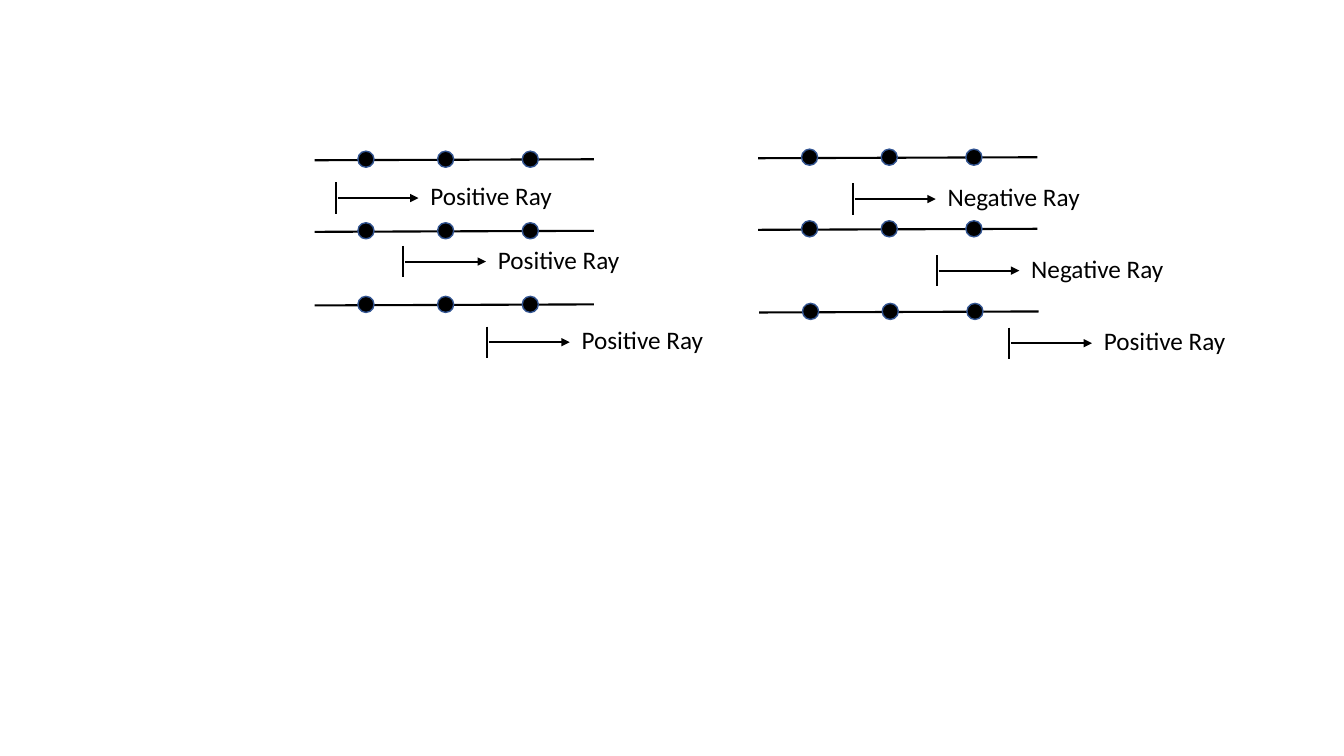
from dataclasses import dataclass

from lxml import etree
from pptx import Presentation
from pptx.dml.color import RGBColor
from pptx.enum.shapes import MSO_CONNECTOR, MSO_SHAPE
from pptx.enum.text import MSO_AUTO_SIZE
from pptx.oxml.ns import qn
from pptx.shapes.connector import Connector
from pptx.shapes.shapetree import GroupShapes
from pptx.util import Inches, Pt

STRAIGHT = MSO_CONNECTOR.STRAIGHT
OVAL = MSO_SHAPE.OVAL
FIT_SHAPE = MSO_AUTO_SIZE.SHAPE_TO_FIT_TEXT
BLANK_LAYOUT = 6


@dataclass(frozen=True)
class Theme:
    ink: RGBColor = RGBColor(0x00, 0x00, 0x00)
    dot_edge: RGBColor = RGBColor(0x32, 0x54, 0x91)
    font: str = "Calibri"
    label_size: Pt = Pt(18)
    line_width: Pt = Pt(1.5)
    dot_edge_width: Pt = Pt(1)


@dataclass(frozen=True)
class NumberLine:
    """A line with three points; x, y is its left end."""
    x: float
    y: float


@dataclass(frozen=True)
class Ray:
    """A labelled ray; x, y is the top of its starting tick."""
    x: float
    y: float
    label: str
    label_width: float


THEME = Theme()

# Number line geometry
LINE_LENGTH, LINE_RISE = 2.77, 0.01
DOT_SIZE, DOT_OFFSETS = 0.16, (0.43, 1.22, 2.06)
DOT_RISE = 0.09

# Ray geometry, measured from the top of the tick
TICK_HEIGHT = 0.31
ARROW_START, ARROW_END = 0.02, 0.82
LABEL_DX, LABEL_DY, LABEL_HEIGHT = 0.84, -0.07, 0.4

POSITIVE = ("Positive Ray", 1.84)
NEGATIVE = ("Negative Ray", 2.0)

NUMBER_LINES = [
    NumberLine(3.12, 1.59), NumberLine(3.12, 2.3), NumberLine(3.12, 3.03),
    NumberLine(7.52, 1.57), NumberLine(7.52, 2.28), NumberLine(7.53, 3.1),
]
RAYS = [
    Ray(3.33, 1.81, *POSITIVE), Ray(4.0, 2.44, *POSITIVE),
    Ray(4.83, 3.24, *POSITIVE),
    Ray(8.46, 1.82, *NEGATIVE), Ray(9.29, 2.53, *NEGATIVE),
    Ray(10.01, 3.25, *POSITIVE),
]


def add_line(shapes: GroupShapes, x1: float, y1: float,
             x2: float, y2: float) -> Connector:
    line = shapes.add_connector(STRAIGHT, Inches(x1), Inches(y1),
                                Inches(x2), Inches(y2))
    line.line.color.rgb = THEME.ink
    line.line.width = THEME.line_width
    etree.SubElement(line._element.spPr, qn("a:effectLst"))
    return line


def add_arrow(shapes: GroupShapes, x1: float, x2: float, y: float) -> None:
    arrow = add_line(shapes, x1, y, x2, y)
    etree.SubElement(arrow.line._get_or_add_ln(), qn("a:tailEnd"),
                     type="triangle")


def add_dot(shapes: GroupShapes, x: float, y: float) -> None:
    dot = shapes.add_shape(OVAL, Inches(x), Inches(y),
                           Inches(DOT_SIZE), Inches(DOT_SIZE))
    dot.shadow.inherit = False
    dot.fill.solid()
    dot.fill.fore_color.rgb = THEME.ink
    dot.line.color.rgb = THEME.dot_edge
    dot.line.width = THEME.dot_edge_width


def add_label(shapes: GroupShapes, ray: Ray) -> None:
    box = shapes.add_textbox(Inches(ray.x + LABEL_DX), Inches(ray.y + LABEL_DY),
                             Inches(ray.label_width), Inches(LABEL_HEIGHT))
    tf = box.text_frame
    tf.word_wrap = True
    tf.auto_size = FIT_SHAPE
    r = tf.paragraphs[0].add_run()
    r.text = ray.label
    r.font.name = THEME.font
    r.font.size = THEME.label_size
    r.font.color.rgb = THEME.ink


def draw_number_line(shapes: GroupShapes, item: NumberLine) -> None:
    add_line(shapes, item.x, item.y, item.x + LINE_LENGTH, item.y - LINE_RISE)
    for dx in DOT_OFFSETS:
        add_dot(shapes, item.x + dx, item.y - DOT_RISE)


def draw_ray(shapes: GroupShapes, ray: Ray) -> None:
    add_label(shapes, ray)
    add_line(shapes, ray.x, ray.y, ray.x, ray.y + TICK_HEIGHT)
    add_arrow(shapes, ray.x + ARROW_START, ray.x + ARROW_END,
              ray.y + TICK_HEIGHT / 2)


prs = Presentation()
prs.slide_width, prs.slide_height = Inches(13.33), Inches(7.5)
s = prs.slides.add_slide(prs.slide_layouts[BLANK_LAYOUT])

# One group for each number line and each ray
for number_line in NUMBER_LINES:
    draw_number_line(s.shapes.add_group_shape().shapes, number_line)
for ray in RAYS:
    draw_ray(s.shapes.add_group_shape().shapes, ray)

prs.save("out.pptx")
